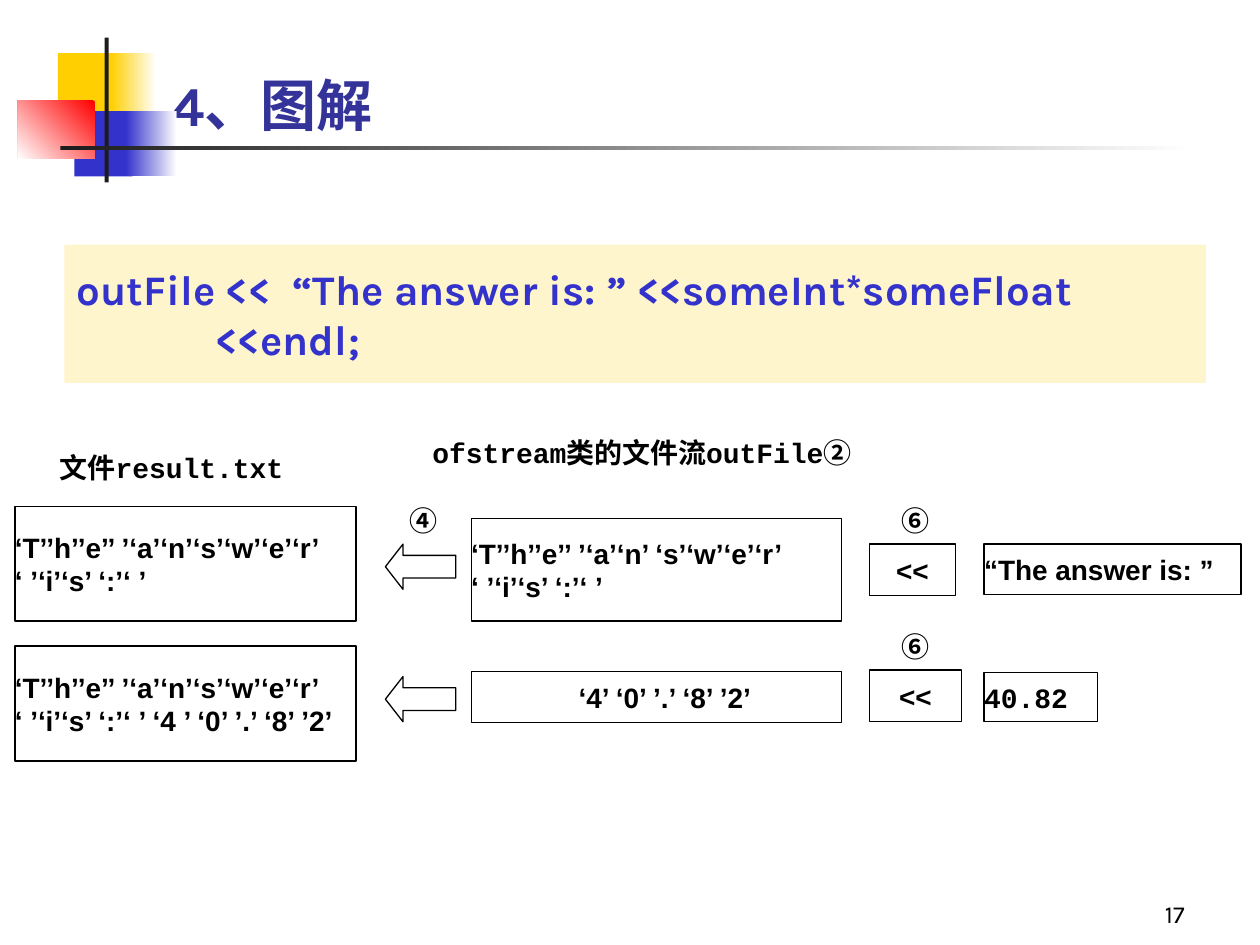
import pptx
import pptx.util
import pptx.dml.color
import pptx.enum.shapes
import pptx.enum.text
import pptx.oxml
import pptx.oxml.ns

Cm = pptx.util.Cm
Pt = pptx.util.Pt
SHAPE = pptx.enum.shapes.MSO_SHAPE
ALIGN = pptx.enum.text.PP_ALIGN
ANCHOR = pptx.enum.text.MSO_ANCHOR

COLORS = {
    "yellow": "FFCF01", "blue": "3333CC", "red": "FF0000", "white": "FFFFFF",
    "bar": "1C1C1C", "title": "333399", "text": "000000",
}
SANS, MONO, CJK, KARLA = "Arial", "Courier New", "Noto Sans CJK SC", "Karla"


def rgb(name):
    return pptx.dml.color.RGBColor.from_string(COLORS[name])


class SlideBuilder:
    """Holds the text style and the slide being filled."""

    def __init__(self, slide, size=16, font=SANS):
        self.slide, self.size, self.font = slide, size, font

    def set_text(self, frame, lines, align=ALIGN.LEFT, size=None, color="text", bold=True,
                 anchor=ANCHOR.MIDDLE, inset=(0, 0)):
        """Fill a frame; each line is a list of (text, font) runs or a plain string."""
        frame.word_wrap = True
        frame.vertical_anchor = anchor
        frame.margin_left = frame.margin_right = Cm(inset[0])
        frame.margin_top = frame.margin_bottom = Cm(inset[1])
        for index, line in enumerate(lines):
            paragraph = frame.add_paragraph() if index else frame.paragraphs[0]
            paragraph.alignment = align
            for text, font in [(line, self.font)] if isinstance(line, str) else line:
                run = paragraph.add_run()
                run.text = text
                run.font.size = Pt(size or self.size)
                run.font.bold = bold
                run.font.color.rgb = rgb(color)
                run.font.name = font
                east_asian = pptx.oxml.parse_xml(
                    f'<a:ea {pptx.oxml.ns.nsdecls("a")} typeface="{CJK}"/>')
                run._r.get_or_add_rPr().append(east_asian)

    def shape(self, at, kind=SHAPE.RECTANGLE):
        shape = self.slide.shapes.add_shape(kind, *map(Cm, at))
        shape.shadow.inherit = False
        shape.fill.background()
        shape.line.fill.background()
        return shape

    def block(self, at, color, alpha=None):
        block = self.shape(at)
        block.fill.solid()
        block.fill.fore_color.rgb = rgb(color)
        if alpha is not None:
            srgb = block._element.spPr.find(".//" + pptx.oxml.ns.qn("a:srgbClr"))
            srgb.append(pptx.oxml.parse_xml(
                f'<a:alpha {pptx.oxml.ns.nsdecls("a")} val="{alpha * 1000}"/>'))
        return block

    def fade(self, at, color, angle=0):
        """Rectangle running from a colour to white."""
        fill = self.shape(at).fill
        fill.gradient()
        fill.gradient_angle = angle
        for stop, position, name in zip(fill.gradient_stops, (0, 1), (color, "white")):
            stop.position = position
            stop.color.rgb = rgb(name)

    def outline(self, shape, width=0.75):
        shape.line.color.rgb = rgb("text")
        shape.line.width = Pt(width)

    def box(self, at, lines, align=ALIGN.JUSTIFY, width=0.75):
        box = self.shape(at)
        self.outline(box, width)
        self.set_text(box.text_frame, lines, align)

    def arrow(self, at):
        arrow = self.shape(at, SHAPE.LEFT_ARROW)
        arrow.adjustments[0], arrow.adjustments[1] = 0.5, 0.39
        self.outline(arrow)

    def label(self, at, lines, align=ALIGN.CENTER, **style):
        label = self.slide.shapes.add_textbox(*map(Cm, at))
        self.set_text(label.text_frame, lines, align, **style)

    def title(self, at, text, **style):
        title = self.slide.shapes.title
        title.left, title.top, title.width, title.height = map(Cm, at)
        self.set_text(title.text_frame, [[(text, KARLA)]], **style)


def add_ornament(page):
    page.block((1.17, 1.07, 1.22, 1.32), "yellow")
    page.fade((2.24, 1.07, 0.91, 1.32), "yellow")
    page.block((1.5, 2.24, 1.17, 1.32), "blue")
    page.fade((2.54, 2.24, 1.02, 1.32), "blue")
    page.fade((0.36, 2.03, 1.55, 1.17), "red", angle=225)
    page.block((2.11, 0.76, 0.08, 2.92), "bar")
    page.fade((1.22, 2.95, 22.86, 0.08), "bar")


def add_stream_diagram(page):
    file_x, arrow_x, stream_x, operator_x, value_x = 0.3, 7.77, 9.5, 17.53, 19.84
    file_size, stream_width = (6.88, 2.31), 7.47
    first_line = "‘T’’h’’e’’ ’‘a’‘n’‘s’‘w’‘e’‘r’"
    second_line = "‘ ’‘i’‘s’ ‘:’‘ ’"

    page.label((file_x, 8.92, 6.32, 1.02), [[("文件", SANS), ("result.txt", MONO)]])
    page.label((arrow_x, 8.61, 10.34, 1.02), [
        [("ofstream", MONO), ("类的文件流", SANS), ("outFile", MONO), ("②", CJK)]])
    for step, x, y in (("④", 7.62, 9.96), ("⑥", operator_x, 9.96), ("⑥", operator_x, 12.5)):
        page.label((x, y, 1.85, 1.04), [[(step, CJK)]])

    page.box((file_x, 10.21, *file_size), [first_line, second_line], width=1)
    page.box((file_x, 13.03, *file_size),
             [first_line, second_line + " ‘4 ’ ‘0’ ’.’ ‘8’ ’2’"], width=1)
    for y in (10.97, 13.64):
        page.arrow((arrow_x, y, 1.42, 0.91))
    page.box((stream_x, 10.46, stream_width, 2.06),
             ["‘T’’h’’e’’ ’‘a’‘n’ ‘s’‘w’‘e’‘r’", second_line])
    page.box((stream_x, 13.54, stream_width, 1.02),
             [[(" ", MONO), ("‘4’ ‘0’ ’.’ ‘8’ ’2’", SANS)]], ALIGN.CENTER)
    for y, width in ((10.97, 1.73), (13.51, 1.85)):
        page.box((operator_x, y, width, 1.04), ["<<"], ALIGN.CENTER)
    page.box((value_x, 10.97, 5.18, 1.02), ["“The answer is: ”"])
    page.box((value_x, 13.56, 2.29, 0.99), [[("40.82", MONO)]])


def main():
    deck = pptx.Presentation()
    deck.slide_width, deck.slide_height = Cm(25.4), Cm(19.05)
    title_only = deck.slide_layouts[5]
    page = SlideBuilder(deck.slides.add_slide(title_only))
    padding = (0.25, 0.13)

    add_ornament(page)
    page.title((3.2, -0.28, 21.64, 3.18), "4、图解", size=32, color="title",
               anchor=ANCHOR.BOTTOM, inset=padding)
    add_stream_diagram(page)
    statement = page.block((1.3, 4.93, 23.01, 2.79), "yellow", alpha=20)
    page.set_text(statement.text_frame, [
        [("outFile <<  “The answer is: ” <<someInt*someFloat", KARLA)],
        [("             <<endl;", KARLA)],
    ], size=24, color="blue", inset=padding)
    page.label((18.85, 17.58, 5.28, 1.27), [[("17", KARLA)]], ALIGN.RIGHT, size=14,
               bold=False, anchor=ANCHOR.BOTTOM, inset=padding)
    deck.save("out.pptx")


if __name__ == "__main__":
    main()
